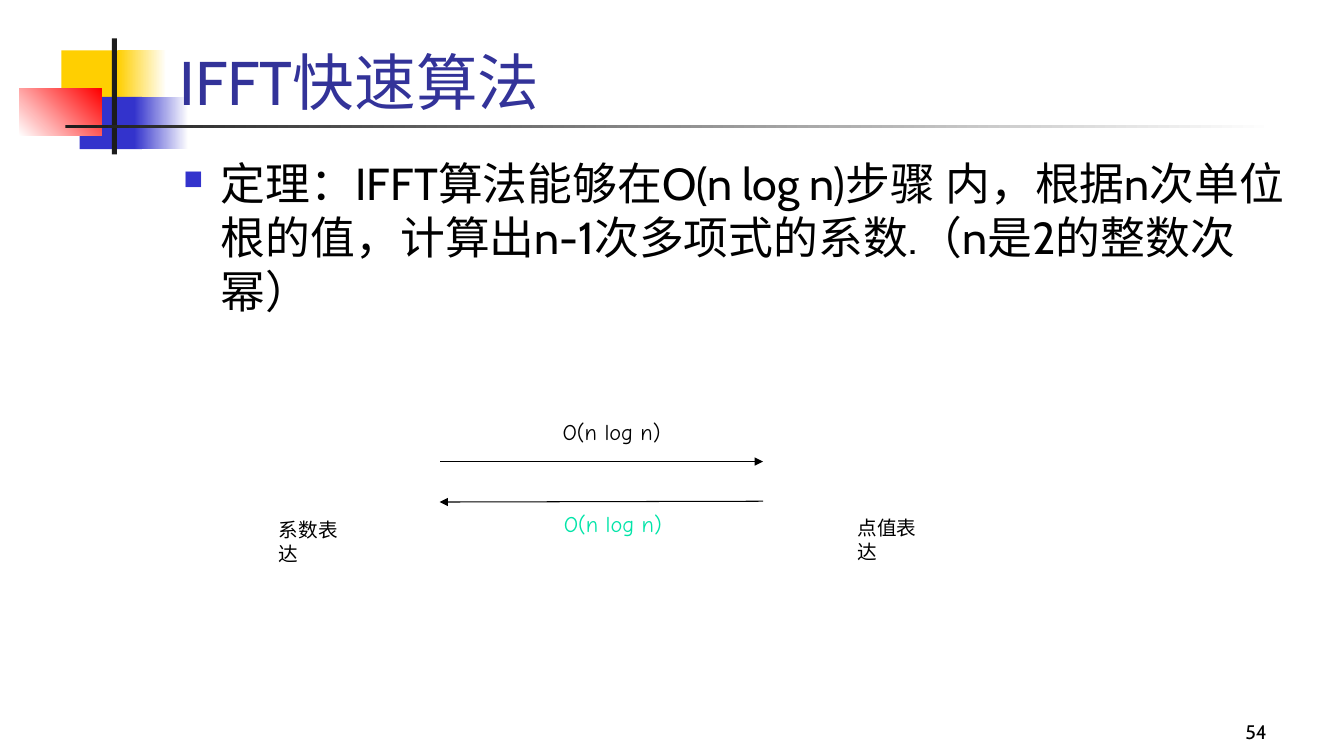
from lxml import etree
from pptx import Presentation
from pptx import util as u
from pptx.dml.color import RGBColor
from pptx.enum import shapes, text
from pptx.oxml.ns import qn

COLORS = {
    "yellow": "FFCF01", "blue": "3333CC", "red": "FF0000", "white": "FFFFFF",
    "bar": "1C1C1C", "title": "333399", "ink": "000000", "mint": "00E4A8",
}


def rgb(name):
    return RGBColor.from_string(COLORS[name])


class SlideBuilder:
    heading_font = "Cabin"
    label_font = "Comic Neue"

    def __init__(self, slide):
        self.slide = slide

    def block(self, box, start, end=None, angle=0):
        """Plain rectangle, or one fading from start to end."""
        rect = self.slide.shapes.add_shape(
            shapes.MSO_SHAPE.RECTANGLE, *map(u.Cm, box))
        rect.shadow.inherit = False
        rect.line.fill.background()
        if end is None:
            rect.fill.solid()
            rect.fill.fore_color.rgb = rgb(start)
            return
        rect.fill.gradient()
        rect.fill.gradient_angle = angle
        for stop, color, position in zip(
                rect.fill.gradient_stops, (start, end), (0, 1)):
            stop.color.rgb = rgb(color)
            stop.position = position

    def set_text(self, frame, words, size, font, color="ink",
                 align=text.PP_ALIGN.LEFT, anchor=text.MSO_ANCHOR.TOP):
        frame.word_wrap = True
        frame.auto_size = text.MSO_AUTO_SIZE.NONE
        frame.vertical_anchor = anchor
        paragraph = frame.paragraphs[0]
        paragraph.alignment = align
        run = paragraph.add_run()
        run.text = words
        run.font.size = u.Pt(size)
        run.font.name = font
        run.font.color.rgb = rgb(color)
        return paragraph

    def title(self, box, words):
        heading = self.slide.shapes.title
        heading.left, heading.top, heading.width, heading.height = map(u.Cm, box)
        self.set_text(heading.text_frame, words, 44, self.heading_font, "title",
                      anchor=text.MSO_ANCHOR.BOTTOM)
        # Bring the heading in front of the decoration
        self.slide.shapes.element.append(heading.element)

    def textbox(self, box, words, size, font, **style):
        frame = self.slide.shapes.add_textbox(*map(u.Cm, box)).text_frame
        return self.set_text(frame, words, size, font, **style)

    def bullet(self, box, words):
        paragraph = self.textbox(box, words, 32, self.heading_font)
        props = paragraph._p.get_or_add_pPr()
        indent = u.Cm(0.95)
        props.set("marL", str(indent))
        props.set("indent", str(-indent))
        tint = etree.SubElement(props, qn("a:buClr"))
        etree.SubElement(tint, qn("a:srgbClr"), val=COLORS["blue"])
        etree.SubElement(props, qn("a:buSzPct"), val="60000")
        etree.SubElement(props, qn("a:buChar"), char="■")

    def arrow(self, *ends):
        line = self.slide.shapes.add_connector(
            shapes.MSO_CONNECTOR.STRAIGHT, *map(u.Cm, ends))
        line.line.color.rgb = rgb("ink")
        line.line.width = u.Pt(0.75)
        etree.SubElement(line.line._get_or_add_ln(), qn("a:tailEnd"),
                         type="triangle")
        etree.SubElement(line.element.spPr, qn("a:effectLst"))


def main():
    deck = Presentation()
    deck.slide_width, deck.slide_height = u.Cm(33.87), u.Cm(19.05)
    page = SlideBuilder(deck.slides.add_slide(deck.slide_layouts[5]))

    # Corner decoration
    page.block((1.55, 1.27, 1.63, 1.32), "yellow")
    page.block((2.97, 1.27, 1.22, 1.32), "yellow", "white")
    page.block((2.01, 2.44, 1.57, 1.32), "blue")
    page.block((3.38, 2.44, 1.37, 1.32), "blue", "white")
    page.block((0.48, 2.24, 2.08, 1.17), "white", "red", angle=45)
    page.block((2.82, 0.97, 0.13, 2.92), "bar")
    page.block((1.65, 3.15, 30.48, 0.08), "bar", "white")

    # Page number, heading and theorem
    page.textbox((25.12, 17.58, 7.06, 1.27), "54", 14, page.heading_font,
                 align=text.PP_ALIGN.RIGHT, anchor=text.MSO_ANCHOR.BOTTOM)
    page.title((4.27, -0.08, 28.85, 3.18), "IFFT快速算法")
    page.bullet((4.37, 3.81, 28.78, 11.43),
                "定理：IFFT算法能够在O(n log n)步骤 内，根据n次单位根的值，"
                "计算出n-1次多项式的系数.（n是2的整数次幂）")

    # The two representations
    for left, top, form in ((6.78, 12.93, "系数表达"), (21.36, 12.88, "点值表达")):
        page.textbox((left, top, 2.46, 0.86), form, 14, page.label_font)

    # Cost of each conversion
    for left, top, color in ((13.89, 10.41, "ink"), (13.92, 12.73, "mint")):
        page.textbox((left, top, 3.05, 0.94), "O(n log n)", 16, page.label_font,
                     color=color, align=text.PP_ALIGN.CENTER)
    page.arrow(11.1, 11.63, 19.23, 11.63)
    page.arrow(19.23, 12.63, 11.08, 12.65)

    deck.save("out.pptx")


if __name__ == "__main__":
    main()
